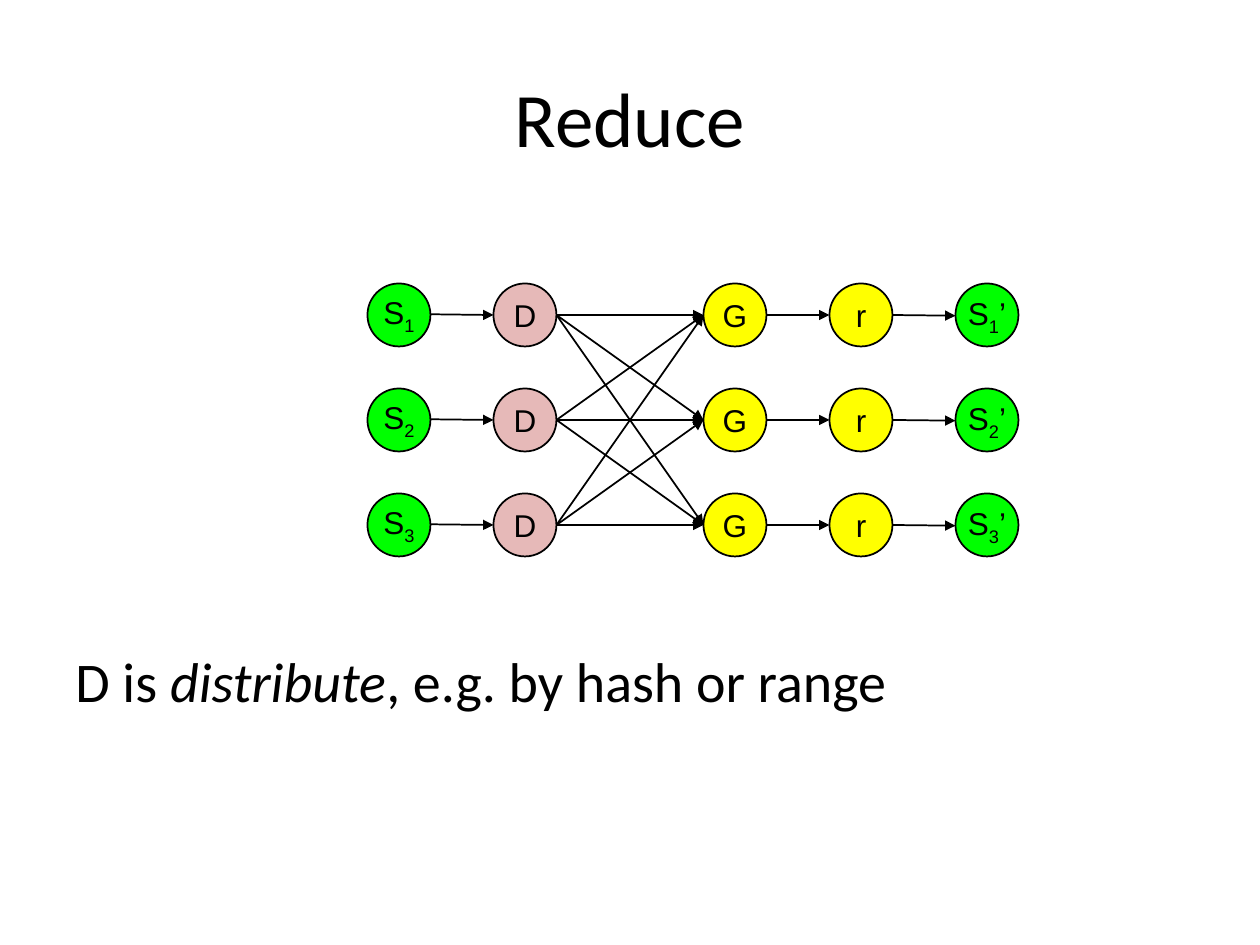
from dataclasses import dataclass
from itertools import product

from lxml import etree
from pptx import Presentation
from pptx import util as u
from pptx.dml.color import RGBColor
from pptx.enum import shapes, text
from pptx.oxml import ns

BLACK = RGBColor(0x00, 0x00, 0x00)
GREEN = RGBColor(0x00, 0xFF, 0x00)
YELLOW = RGBColor(0xFF, 0xFF, 0x00)
PINK = RGBColor(0xE6, 0xB9, 0xB8)

SIZE = 36
TOP, ROW_STEP, ROWS = 162, 60, 3
LEFT_SIDE, RIGHT_SIDE = 1, 3
LABEL = {"name": "Arial", "size": u.Pt(18)}
TITLE = {"name": "Calibri", "size": u.Pt(44)}
BODY = {"name": "Calibri", "size": u.Pt(32)}


@dataclass(frozen=True)
class Stage:
    letter: str
    x: float
    fill: RGBColor
    numbered: bool = False
    suffix: str = ""
    label_dy: float = 0
    label_h: float = SIZE


STAGES = [
    Stage("S", 210, GREEN, numbered=True, label_h=35.2),
    Stage("D", 282, PINK),
    Stage("G", 402, YELLOW),
    Stage("r", 474, YELLOW),
    Stage("S", 546, GREEN, numbered=True, suffix="’", label_dy=0.8, label_h=35.2),
]


def add_run(p, words: str, fmt: dict, baseline: int = 0):
    r = p.add_run()
    r.text = words
    for key, value in fmt.items():
        setattr(r.font, key, value)
    r.font.color.rgb = BLACK
    if baseline:
        r._r.get_or_add_rPr().set("baseline", str(baseline))


def add_text_box(s, x: float, y: float, w: float, h: float, **frame):
    sp = s.shapes.add_textbox(u.Pt(x), u.Pt(y), u.Pt(w), u.Pt(h))
    tf = sp.text_frame
    tf.word_wrap = True
    for key, value in frame.items():
        setattr(tf, key, value)
    return sp


def add_node(s, stage: Stage, row: int):
    y = TOP + row * ROW_STEP
    sp = s.shapes.add_shape(
        shapes.MSO_SHAPE.OVAL, u.Pt(stage.x), u.Pt(y), u.Pt(SIZE), u.Pt(SIZE)
    )
    sp.shadow.inherit = False
    sp.fill.solid()
    sp.fill.fore_color.rgb = stage.fill
    sp.line.color.rgb = BLACK
    sp.line.width = u.Pt(1)

    label = add_text_box(
        s, stage.x, y + stage.label_dy, SIZE, stage.label_h,
        vertical_anchor=text.MSO_ANCHOR.MIDDLE,
        margin_left=0, margin_right=0, margin_top=0, margin_bottom=0,
    )
    p = label.text_frame.paragraphs[0]
    p.alignment = text.PP_ALIGN.CENTER
    add_run(p, stage.letter, LABEL)
    if stage.numbered:
        add_run(p, str(row + 1), LABEL, baseline=-25000)
    if stage.suffix:
        add_run(p, stage.suffix, LABEL)
    return label


def add_arrow(s, start, end):
    c = s.shapes.add_connector(shapes.MSO_CONNECTOR.STRAIGHT, 0, 0, 0, 0)
    c.begin_connect(start, RIGHT_SIDE)
    c.end_connect(end, LEFT_SIDE)
    c.line.color.rgb = BLACK
    c.line.width = u.Pt(1)
    etree.SubElement(c.line._get_or_add_ln(), ns.qn("a:tailEnd"), type="triangle")
    etree.SubElement(c._element.spPr, ns.qn("a:effectLst"))


def add_title(s):
    sp = add_text_box(s, 36, 21.6, 648, 90, vertical_anchor=text.MSO_ANCHOR.MIDDLE)
    p = sp.text_frame.paragraphs[0]
    p.alignment = text.PP_ALIGN.CENTER
    add_run(p, "Reduce", TITLE)


def add_body(s):
    p = add_text_box(s, 36, 366, 648, 116.64).text_frame.paragraphs[0]
    pPr = p._p.get_or_add_pPr()
    pPr.set("marL", str(u.Pt(27)))
    pPr.set("indent", str(-u.Pt(27)))
    add_run(p, "D is ", BODY)
    add_run(p, "distribute", BODY | {"italic": True})
    add_run(p, ", e.g. by hash or range", BODY)


def main():
    prs = Presentation()
    prs.slide_width, prs.slide_height = u.Pt(720), u.Pt(540)
    s = prs.slides.add_slide(prs.slide_layouts[6])
    add_title(s)
    columns = [[add_node(s, stage, row) for row in range(ROWS)] for stage in STAGES]
    sources, distribute, gather, reduce, results = columns
    for left, right in ((sources, distribute), (gather, reduce), (reduce, results)):
        for start, end in zip(left, right):
            add_arrow(s, start, end)
    for start, end in product(distribute, gather):
        add_arrow(s, start, end)
    add_body(s)
    prs.save("out.pptx")


if __name__ == "__main__":
    main()
